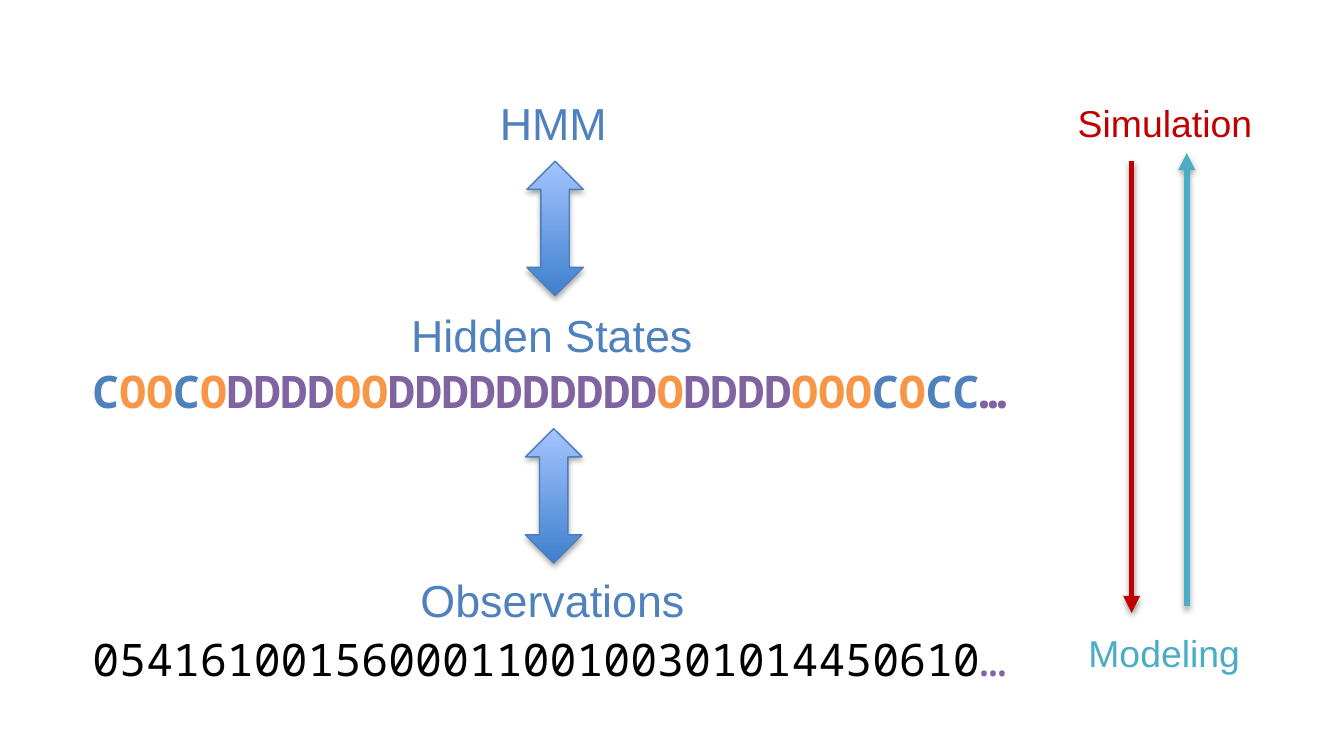
from itertools import groupby

from lxml import etree
from pptx import Presentation
from pptx.dml.color import RGBColor
from pptx.enum import shapes, text
from pptx.oxml import ns
from pptx.util import Inches, Pt

# Content
BLUE, ORANGE, PURPLE = "4F81BD", "F79646", "8064A2"
RED, TEAL, BLACK = "C00000", "4BACC6", "000000"
STATE_COLORS = {"C": BLUE, "O": ORANGE, "D": PURPLE, "…": PURPLE}
HIDDEN_STATES = "COOCODDDDOODDDDDDDDDDODDDDOOOCOCC…"
OBSERVATIONS = "054161001560001100100301014450610"

# text, left, top, width, height, size, color
LABELS = [
    ("HMM", 3.62, 0.66, 1.01, 0.5, 24, BLUE),
    ("Hidden States", 2.96, 2.24, 2.32, 0.5, 24, BLUE),
    ("Observations", 3.03, 4.21, 2.19, 0.5, 24, BLUE),
    ("Simulation", 7.92, 0.7, 1.51, 0.44, 20, RED),
    ("Modeling", 8, 4.64, 1.34, 0.44, 20, TEAL),
]
# top, runs, bold
SEQUENCES = [
    (2.66, [("".join(group), STATE_COLORS[state])
            for state, group in groupby(HIDDEN_STATES)], True),
    (4.65, [(OBSERVATIONS, BLACK), ("…", PURPLE)], False),
]
# left, top
BLOCK_ARROWS = [(3.92, 1.2), (3.91, 3.19)]
# x, start y, end y, color
DIRECTION_ARROWS = [(8.42, 1.2, 4.56, RED), (8.83, 4.51, 1.14, TEAL)]


def rgb(value):
    return RGBColor.from_string(value)


def add_text(slide, runs, left, top, width, height, size=24,
             font="Arial", bold=False):
    box = slide.shapes.add_textbox(Inches(left), Inches(top),
                                   Inches(width), Inches(height))
    frame = box.text_frame
    frame.word_wrap = False
    frame.auto_size = text.MSO_AUTO_SIZE.SHAPE_TO_FIT_TEXT
    paragraph = frame.paragraphs[0]
    for words, color in runs:
        run = paragraph.add_run()
        run.text = words
        run.font.name = font
        run.font.size = Pt(size)
        run.font.bold = bold
        run.font.color.rgb = rgb(color)


def add_shadow(shape, distance, opacity):
    properties = shape._element.spPr
    effects = etree.SubElement(properties, ns.qn("a:effectLst"))
    shadow = etree.SubElement(
        effects, ns.qn("a:outerShdw"), blurRad=str(Pt(3.1)),
        dist=str(Pt(distance)), dir="5400000", rotWithShape="0")
    color = etree.SubElement(shadow, ns.qn("a:srgbClr"), val=BLACK)
    etree.SubElement(color, ns.qn("a:alpha"), val=str(opacity * 1000))


def add_block_arrow(slide, left, top, width=0.42, height=1):
    arrow = slide.shapes.add_shape(
        shapes.MSO_SHAPE.UP_DOWN_ARROW, Inches(left), Inches(top),
        Inches(width), Inches(height))
    arrow.fill.gradient()
    arrow.fill.gradient_angle = 90
    for stop, position, color in zip(arrow.fill.gradient_stops, (0, 1),
                                     ("3F80CE", "A4C4FF")):
        stop.position = position
        stop.color.rgb = rgb(color)
    arrow.line.color.rgb = rgb("4B7EBC")
    arrow.line.width = Pt(0.75)
    add_shadow(arrow, distance=1.8, opacity=35)


def add_direction_arrow(slide, x, start, end, color):
    arrow = slide.shapes.add_connector(
        shapes.MSO_CONNECTOR.STRAIGHT, Inches(x), Inches(start),
        Inches(x), Inches(end))
    arrow.line.color.rgb = rgb(color)
    arrow.line.width = Pt(3)
    etree.SubElement(arrow.line._get_or_add_ln(), ns.qn("a:tailEnd"),
                     type="triangle")
    add_shadow(arrow, distance=1.6, opacity=38)


def main():
    presentation = Presentation()
    presentation.slide_width = Inches(10)
    presentation.slide_height = presentation.slide_width * 9 // 16
    slide = presentation.slides.add_slide(presentation.slide_layouts[6])

    # Model levels and the arrows between them
    for words, left, top, width, height, size, color in LABELS:
        add_text(slide, [(words, color)], left, top, width, height, size)
    for left, top in BLOCK_ARROWS:
        add_block_arrow(slide, left, top)

    # Simulation runs down, modeling runs up
    for x, start, end, color in DIRECTION_ARROWS:
        add_direction_arrow(slide, x, start, end, color)

    # State and observation sequences
    for top, runs, bold in SEQUENCES:
        add_text(slide, runs, 0.59, top, 7.06, 0.5,
                 font="Noto Sans Mono", bold=bold)

    presentation.save("out.pptx")


if __name__ == "__main__":
    main()
